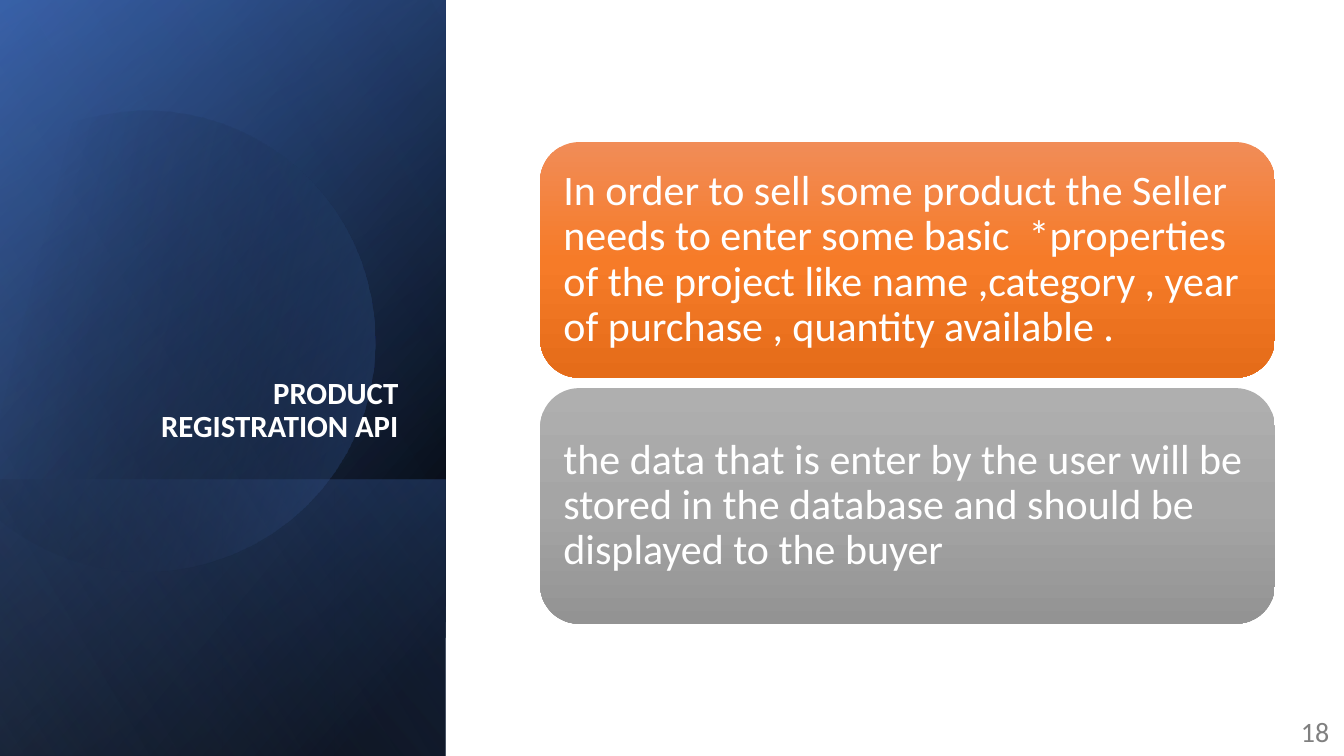
from math import cos, radians, sin

from lxml.etree import SubElement
from pptx import Presentation
from pptx.dml.color import RGBColor
from pptx.enum.shapes import MSO_SHAPE as Shape
from pptx.enum.text import MSO_ANCHOR as Anchor, PP_ALIGN as Align
from pptx.oxml.ns import qn
from pptx.util import Cm, Pt

COLORS = {
    "black": "000000", "navy": "2F5597", "blue": "4472C4", "pale_blue": "8FAADC",
    "white": "FFFFFF", "gray": "808080",
    "orange_top": "F18C57", "orange": "F67B28", "orange_bottom": "E56C19",
    "silver_top": "AFAFAF", "silver": "A5A5A5", "silver_bottom": "939393",
}
FONT = "Calibri"
PANEL_BOX = (-3.91, 3.91, 19.05, 11.23)
FOOT_BOX = (2.13, 9.96, 6.96, 11.23)

DISC_TILT = 343.9
DISC_CENTER = (4.03, 8.5)
DISC_START = (3.78, 2.79)
# Bezier segments of three points, straight segments of one
DISC_SEGMENTS = [
    [(6.25, 2.84), (8.51, 4.5), (9.22, 6.99)],
    [(10.11, 10.08), (8.33, 13.28), (5.26, 14.17)],
    [(3.33, 14.73), (1.35, 14.25), (-0.08, 13.06)],
    [(-0.38, 12.78)],
    [(-0.38, 4.45)],
    [(0, 4.09)],
    [(0.58, 3.61), (1.27, 3.25), (2.03, 3.02)],
    [(2.62, 2.87), (3.2, 2.79), DISC_START],
]

CARDS = [
    ("In order to sell some product the Seller needs to enter some basic  *properties "
     "of the project like name ,category , year of purchase , quantity available .",
     "orange"),
    ("the data that is enter by the user will be stored in the database "
     "and should be displayed to the buyer", "silver"),
]
CARD_TOP, CARD_PITCH = 3.58, 6.2


def paint_gradient(shape, stops, angle):
    """Fill with (position %, color name, opacity %) stops at a clockwise angle."""
    shape.shadow.inherit = False
    shape.line.fill.background()
    shape.fill.gradient()
    shape.fill.gradient_angle = (360 - angle) % 360
    stop_list = shape._element.spPr.find(qn("a:gradFill")).find(qn("a:gsLst"))
    for old_stop in list(stop_list):
        stop_list.remove(old_stop)
    for position, color, opacity in stops:
        stop = SubElement(stop_list, qn("a:gs"), pos=str(position * 1000))
        tint = SubElement(stop, qn("a:srgbClr"), val=COLORS[color])
        if opacity < 100:
            SubElement(tint, qn("a:alpha"), val=str(opacity * 1000))


def add_panel_layer(slide, box, stops, angle):
    layer = slide.shapes.add_shape(Shape.RECTANGLE, *map(Cm, box))
    layer.rotation = 90
    layer._element.spPr.find(qn("a:xfrm")).set("flipH", "1")
    paint_gradient(layer, stops, angle)


def bezier(points, steps=16):
    """Points along a cubic curve, without its first one."""
    for step in range(1, steps + 1):
        t = step / steps
        weights = ((1 - t) ** 3, 3 * t * (1 - t) ** 2, 3 * t * t * (1 - t), t ** 3)
        yield tuple(sum(w * p[axis] for w, p in zip(weights, points)) for axis in (0, 1))


def untilt(point):
    """Turn a point back about the disc centre, so the shape's rotation restores it."""
    turn = radians(-DISC_TILT)
    dx, dy = point[0] - DISC_CENTER[0], point[1] - DISC_CENTER[1]
    return (Cm(DISC_CENTER[0] + dx * cos(turn) - dy * sin(turn)),
            Cm(DISC_CENTER[1] + dx * sin(turn) + dy * cos(turn)))


def add_disc(slide):
    outline = [DISC_START]
    for segment in DISC_SEGMENTS:
        outline += bezier([outline[-1], *segment]) if len(segment) == 3 else segment
    start, *rest = map(untilt, outline)
    builder = slide.shapes.build_freeform(*start)
    builder.add_line_segments(rest, close=True)
    disc = builder.convert_to_shape()
    disc.rotation = DISC_TILT
    paint_gradient(disc, [(29, "black", 0), (100, "blue", 43)], 30)


def write(frame, text, size, color, align, anchor, spacing=1.0, bold=False):
    frame.word_wrap = True
    frame.vertical_anchor = anchor
    paragraph = frame.paragraphs[0]
    paragraph.alignment = align
    paragraph.line_spacing = spacing
    run = paragraph.add_run()
    run.text = text
    run.font.name, run.font.size, run.font.bold = FONT, Pt(size), bold
    run.font.color.rgb = RGBColor.from_string(COLORS[color])


def add_title(slide):
    frame = slide.shapes.add_textbox(Cm(1.63), Cm(4.67), Cm(8.66), Cm(6.65)).text_frame
    frame.margin_left = Cm(1.6)
    write(frame, "PRODUCT REGISTRATION API", 22, "white", Align.RIGHT,
          Anchor.BOTTOM, 0.9, bold=True)


def add_page_number(slide):
    frame = slide.shapes.add_textbox(Cm(32.51), Cm(17.93), Cm(1.24), Cm(1.02)).text_frame
    write(frame, "18", 20, "gray", Align.RIGHT, Anchor.MIDDLE)


def add_card(slide, top, text, hue):
    card = slide.shapes.add_shape(Shape.ROUNDED_RECTANGLE,
                                  Cm(13.61), Cm(top), Cm(18.52), Cm(5.94))
    paint_gradient(card, [(0, hue + "_top", 100), (50, hue, 100),
                          (100, hue + "_bottom", 100)], 90)
    frame = card.text_frame
    frame.margin_left = frame.margin_right = Cm(0.3)
    frame.margin_top = frame.margin_bottom = Cm(0.3)
    write(frame, text, 30, "white", Align.LEFT, Anchor.MIDDLE, 0.9)


def main():
    deck = Presentation()
    deck.slide_width, deck.slide_height = Cm(33.87), Cm(19.05)
    slide = deck.slides.add_slide(deck.slide_layouts[6])

    add_panel_layer(slide, PANEL_BOX, [(8, "black", 100), (100, "navy", 100)], 50)
    add_panel_layer(slide, PANEL_BOX, [(0, "black", 0), (99, "blue", 46)], 30)
    add_panel_layer(slide, FOOT_BOX, [(2, "blue", 29), (100, "black", 30)], 130)
    add_disc(slide)
    add_panel_layer(slide, PANEL_BOX, [(0, "black", 0), (99, "pale_blue", 11)], 120)

    add_title(slide)
    add_page_number(slide)
    for row, (text, hue) in enumerate(CARDS):
        add_card(slide, CARD_TOP + row * CARD_PITCH, text, hue)

    deck.save("out.pptx")


if __name__ == "__main__":
    main()
